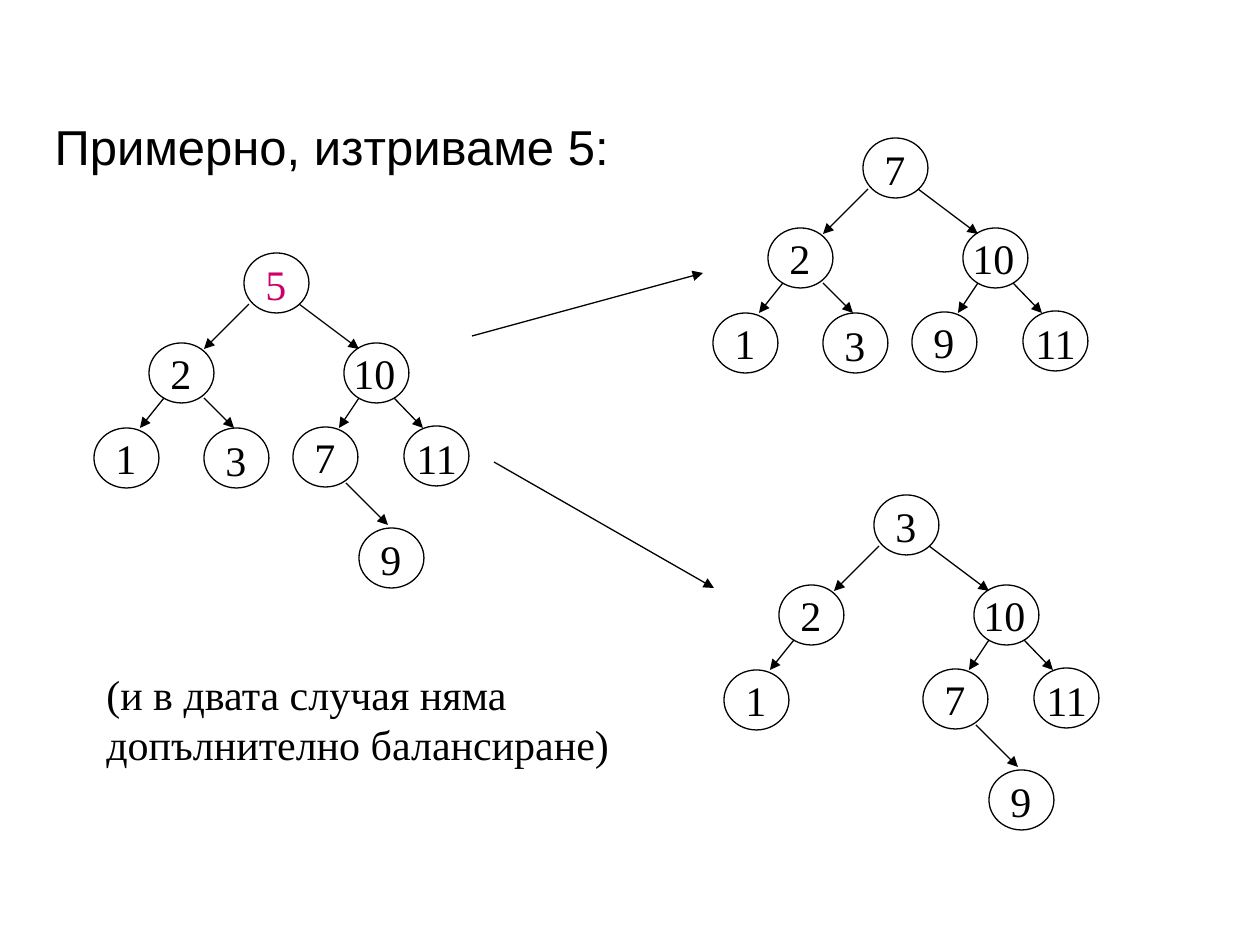
from dataclasses import dataclass

from lxml.etree import SubElement
from pptx import Presentation
from pptx.dml.color import RGBColor
from pptx.enum.shapes import MSO_CONNECTOR as CONN, MSO_SHAPE as SHAPE
from pptx.enum.text import MSO_ANCHOR as ANCHOR, MSO_AUTO_SIZE as FIT, PP_ALIGN as ALIGN
from pptx.oxml.ns import qn
from pptx.util import Emu, Pt

SCALE = 914400 // 126  # EMU per px


@dataclass(frozen=True)
class Theme:
    ink: RGBColor = RGBColor(0, 0, 0)
    paper: RGBColor = RGBColor(255, 255, 255)
    deleted: RGBColor = RGBColor(0xCC, 0, 0x66)
    title_font: str = "Arial"
    body_font: str = "Times New Roman"
    title_size: int = 28
    body_size: int = 24
    line: float = 0.75


THEME = Theme()

TITLE = "Примерно, изтриваме 5:"
NOTE = "(и в двата случая няма допълнително балансиране)"

# Tree position: node offset from the root, label drop, edge from the parent
SLOTS = {
    "root": ((0, 0), -1, None),
    "L": ((-95, 90), -2, (5, 51, -40, 96)),
    "R": ((100, 90), -2, (55, 51, 115, 96)),
    "RL": ((49, 174), -2, (115, 145, 95, 175)),
    "RR": ((160, 173), 0, (150, 145, 179, 175)),
    "RLR": ((115, 275), -1, (102, 230, 144, 272)),
    "LR": ((-40, 175), 0, (-40, 145, -10, 175)),
    "LL": ((-150, 175), -2, (-80, 145, -104, 175)),
}
# Root corner and the value in each position
TREES = [
    ((244, 253), {"root": "5", "L": "2", "R": "10", "RL": "7", "RR": "11",
                  "RLR": "9", "LR": "3", "LL": "1"}),
    ((863, 138), {"root": "7", "L": "2", "R": "10", "RL": "9", "RR": "11",
                  "LR": "3", "LL": "1"}),
    ((874, 495), {"root": "3", "L": "2", "R": "10", "RL": "7", "RR": "11",
                  "RLR": "9", "LL": "1"}),
]
DELETED = "5"
OUTCOMES = [(472, 336, 703, 273), (494, 462, 714, 588)]

NODE_W, NODE_H = 65, 60
LABEL_H = 63
LABEL_FIT = {"10": (-3, 79), "11": (0, 73)}  # left shift, width
DIGIT_FIT = (9, 53)


def px(*values):
    return [Emu(v * SCALE) for v in values]


def write(tf, text, font, size, color):
    p = tf.paragraphs[0]
    p.alignment = ALIGN.LEFT
    r = p.add_run()
    r.text = text
    r.font.name, r.font.size = font, Pt(size)
    r.font.color.rgb = color


def add_text(shapes, text, box, color=THEME.ink):
    tf = shapes.add_textbox(*px(*box)).text_frame
    tf.word_wrap = True
    write(tf, text, THEME.body_font, THEME.body_size, color)


def add_arrow(shapes, ends):
    line = shapes.add_connector(CONN.STRAIGHT, *px(*ends))
    line.line.color.rgb = THEME.ink
    line.line.width = Pt(THEME.line)
    SubElement(line.line._get_or_add_ln(), qn("a:tailEnd"), type="triangle")
    SubElement(line._element.spPr, qn("a:effectLst"))


def add_node(shapes, x, y):
    sp = shapes.add_shape(SHAPE.OVAL, *px(x, y, NODE_W, NODE_H))
    sp.shadow.inherit = False
    sp.fill.solid()
    sp.fill.fore_color.rgb = THEME.paper
    sp.line.color.rgb = THEME.ink
    sp.line.width = Pt(THEME.line)


def add_tree(slide, corner, values):
    shapes = slide.shapes.add_group_shape().shapes
    x0, y0 = corner
    for slot in values:
        (dx, dy), _, _ = SLOTS[slot]
        add_node(shapes, x0 + dx, y0 + dy)
    for slot, value in values.items():
        (dx, dy), drop, edge = SLOTS[slot]
        if edge:
            x1, y1, x2, y2 = edge
            add_arrow(shapes, (x0 + x1, y0 + y1, x0 + x2, y0 + y2))
        shift, width = LABEL_FIT.get(value, DIGIT_FIT)
        color = THEME.deleted if value == DELETED else THEME.ink
        add_text(shapes, value,
                 (x0 + dx + shift, y0 + dy + drop, width, LABEL_H), color)


def add_title(slide):
    title = slide.shapes.title
    title.left, title.top, title.width, title.height = px(42, 84, 1187, 819)
    tf = title.text_frame
    tf.auto_size = FIT.NONE
    tf.vertical_anchor = ANCHOR.TOP
    tf.margin_top = px(33)[0]
    write(tf, TITLE, THEME.title_font, THEME.title_size, THEME.ink)


def main():
    prs = Presentation()
    prs.slide_width, prs.slide_height = px(1260, 945)
    slide = prs.slides.add_slide(prs.slide_layouts[5])
    add_title(slide)
    for corner, values in TREES:
        add_tree(slide, corner, values)
    for ends in OUTCOMES:
        add_arrow(slide.shapes, ends)
    add_text(slide.shapes, NOTE, (94, 662, 567, 113))
    prs.save("out.pptx")


if __name__ == "__main__":
    main()
